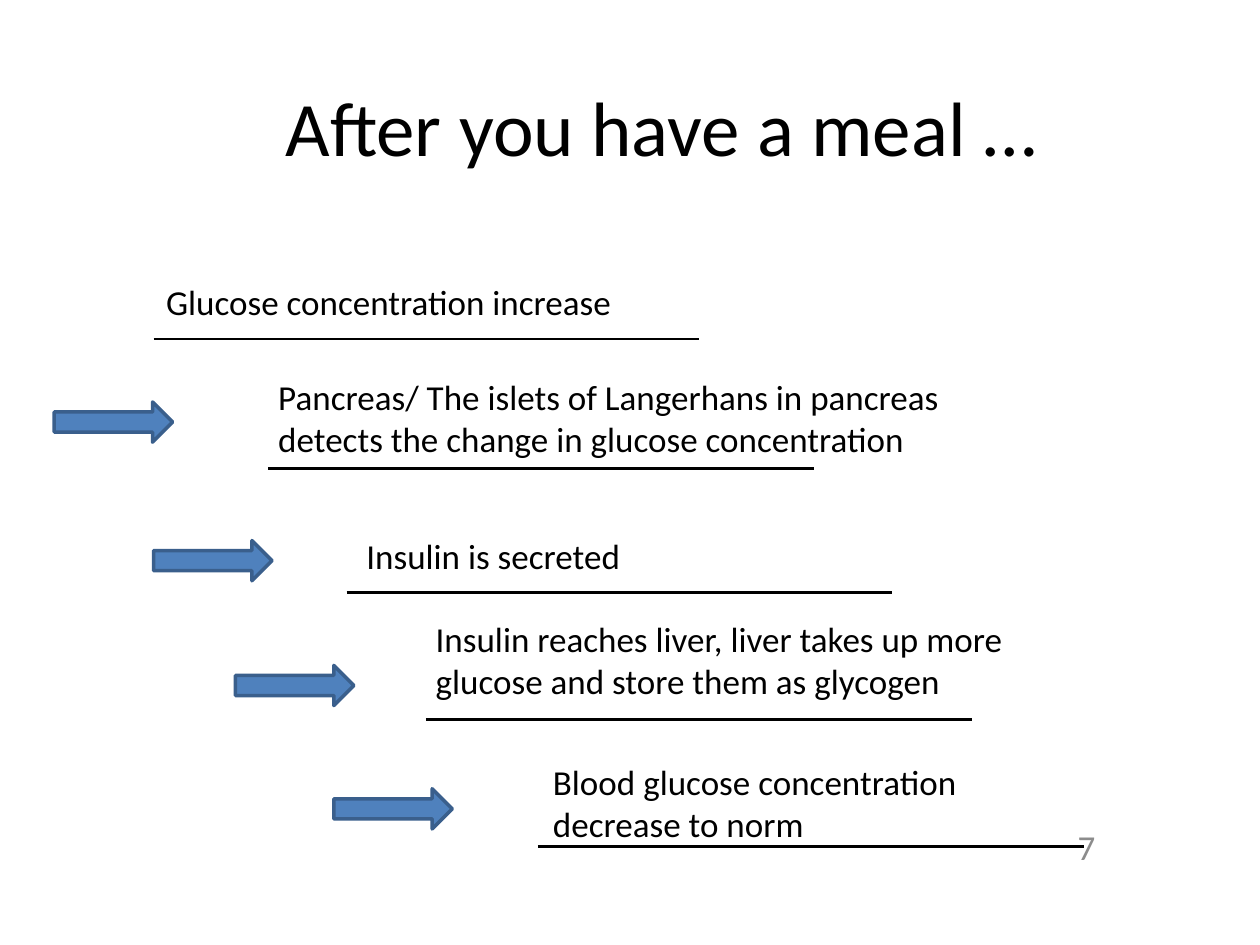
from lxml.etree import SubElement
from pptx import Presentation
from pptx.dml.color import RGBColor
from pptx.enum.shapes import MSO_CONNECTOR as Connector, MSO_SHAPE as Shape
from pptx.enum.text import MSO_ANCHOR as Anchor, MSO_AUTO_SIZE as AutoSize, PP_ALIGN as Align
from pptx.oxml.ns import qn
from pptx.util import Pt

BLACK = RGBColor(0x00, 0x00, 0x00)
GREY = RGBColor(0x8C, 0x8C, 0x8C)
BLUE = RGBColor(0x4F, 0x81, 0xBD)
DARK_BLUE = RGBColor(0x3A, 0x5F, 0x8C)

# Content: text, text box (left, top, width, height), rule start, arrow corner
STEPS = [
    ("Glucose concentration increase",
     (87.8, 157, 409, 31.5), (87.8, 193.7), None),
    ("Pancreas/ The islets of Langerhans in pancreas detects the change "
     "in glucose concentration",
     (151.9, 211, 442, 55.5), (153.4, 267.8), (31, 229.7)),
    ("Insulin is secreted",
     (202.3, 301.7, 306.7, 31.5), (198, 338.4), (87.8, 308.9)),
    ("Insulin reaches liver, liver takes up more glucose and store them as glycogen",
     (241.9, 349.2, 352.8, 55.5), (243.4, 411.1), (134.6, 380.2)),
    ("Blood glucose concentration decrease to norm",
     (308.9, 431.3, 260.6, 55.5), (307.4, 483.8), (190.8, 450.7)),
]
RULE_LENGTH = 311.8
ARROW_SIZE = (67.7, 23)


def add_text(slide, text, box, size=20, color=BLACK, align=Align.LEFT,
             anchor=Anchor.TOP, auto_size=AutoSize.NONE):
    frame = slide.shapes.add_textbox(*map(Pt, box)).text_frame
    settings = {"word_wrap": True, "auto_size": auto_size, "vertical_anchor": anchor}
    for name, value in settings.items():
        setattr(frame, name, value)
    paragraph = frame.paragraphs[0]
    paragraph.alignment = align
    run = paragraph.add_run()
    run.text = text
    for name, value in {"name": "Calibri", "size": Pt(size)}.items():
        setattr(run.font, name, value)
    run.font.color.rgb = color


def add_rule(slide, left, top):
    rule = slide.shapes.add_connector(
        Connector.STRAIGHT, Pt(left), Pt(top), Pt(left + RULE_LENGTH), Pt(top))
    rule.line.color.rgb = BLACK
    rule.line.width = Pt(1.5)
    SubElement(rule._element.spPr, qn("a:effectLst"))


def add_arrow(slide, left, top):
    arrow = slide.shapes.add_shape(
        Shape.RIGHT_ARROW, *map(Pt, (left, top, *ARROW_SIZE)))
    arrow.shadow.inherit = False
    arrow.fill.solid()
    arrow.fill.fore_color.rgb = BLUE
    arrow.line.color.rgb = DARK_BLUE
    arrow.line.width = Pt(2)


def main():
    presentation = Presentation()
    presentation.slide_width, presentation.slide_height = Pt(720), Pt(540)
    slide = presentation.slides.add_slide(presentation.slide_layouts[6])

    # Title and slide number
    add_text(slide, "After you have a meal …", (54, 27, 648, 90), size=44,
             align=Align.CENTER, anchor=Anchor.MIDDLE)
    add_text(slide, "7", (465, 469.5, 168, 28.8), color=GREY,
             align=Align.RIGHT, anchor=Anchor.MIDDLE)

    # Staircase of steps
    for text, box, rule_start, arrow_corner in STEPS:
        add_rule(slide, *rule_start)
        add_text(slide, text, box, auto_size=AutoSize.SHAPE_TO_FIT_TEXT)
        if arrow_corner:
            add_arrow(slide, *arrow_corner)

    presentation.save("out.pptx")


if __name__ == "__main__":
    main()
